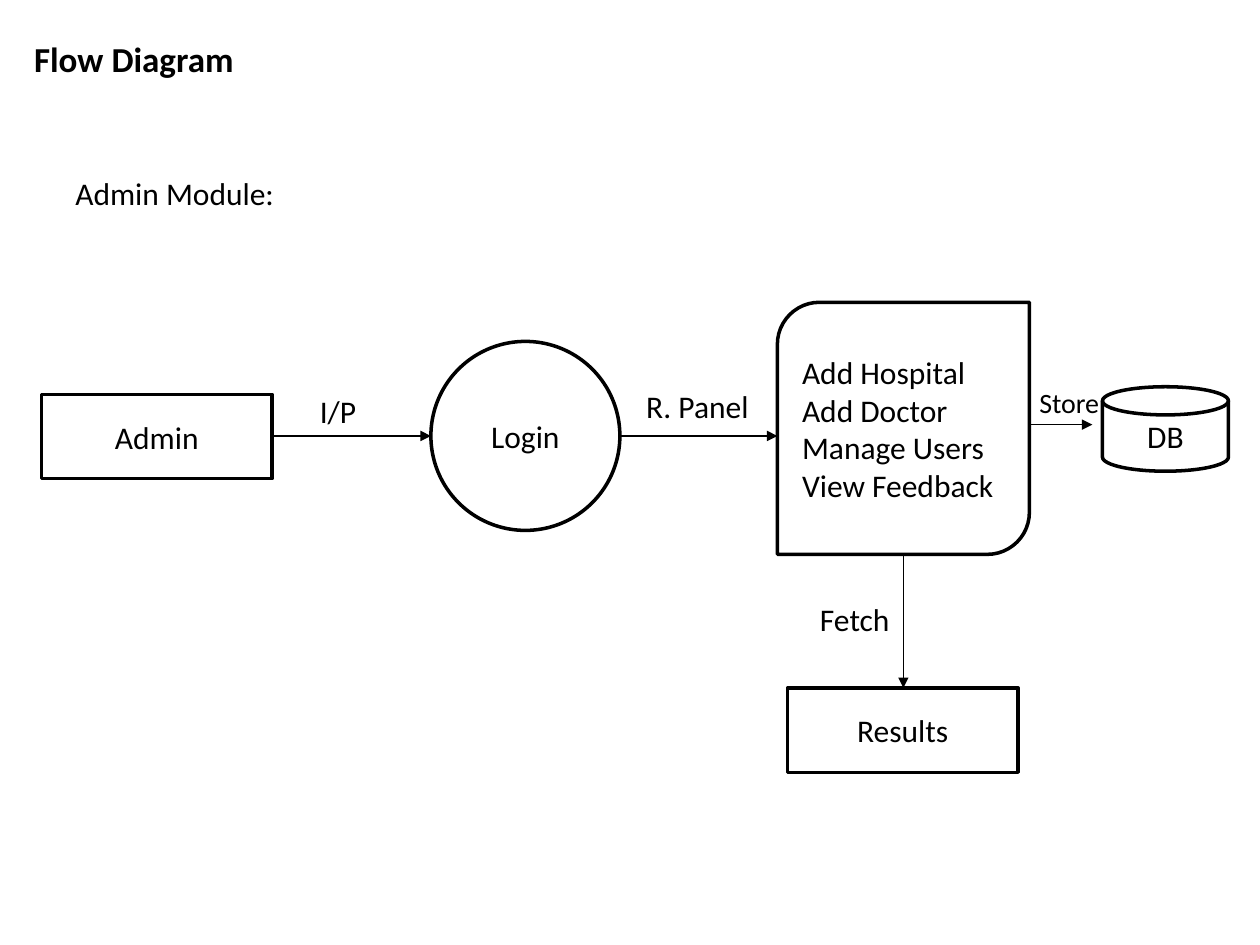
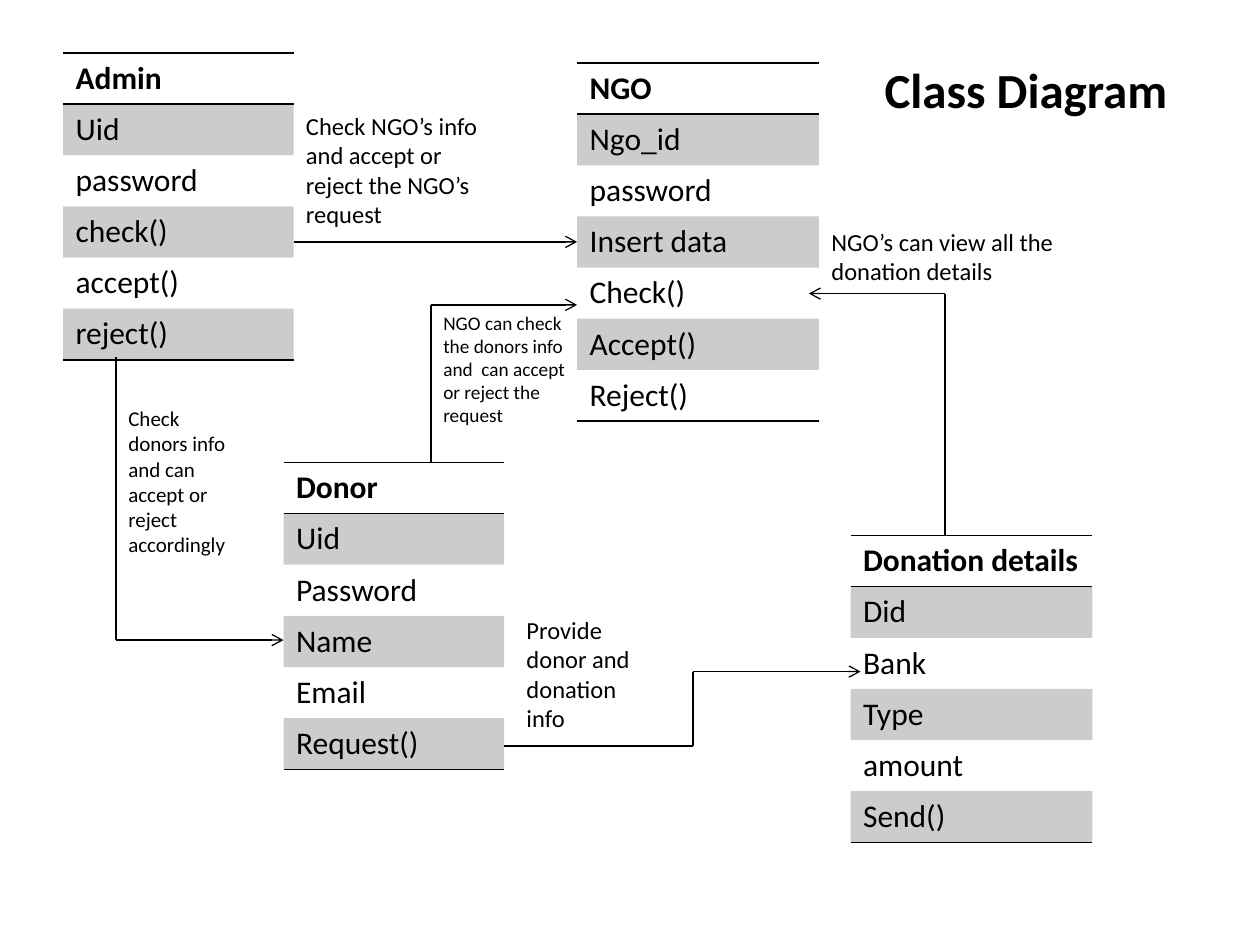
from dataclasses import dataclass
from itertools import pairwise

from lxml.etree import SubElement
from pptx import Presentation
from pptx.dml.color import RGBColor
from pptx.enum.shapes import MSO_CONNECTOR, MSO_SHAPE
from pptx.enum.text import MSO_ANCHOR, MSO_AUTO_SIZE, PP_ALIGN
from pptx.oxml.ns import qn
from pptx.util import Inches, Pt


@dataclass(frozen=True)
class Theme:
    font: str = "Calibri"
    ink: RGBColor = RGBColor(0, 0, 0)
    paper: RGBColor = RGBColor(255, 255, 255)
    body: int = 18
    outline: float = 2
    rule: float = 1
    arrow: float = 0.75
    band_alpha: int = 20000
    row_height: float = 0.406
    plain_table: str = "{2D5ABB26-0587-4C30-8999-92F81FD0307C}"


THEME = Theme()

FLOW_TITLE = ("Flow Diagram", (0.17, 0.25, 3.5, 0.44), 20)
FLOW_STEPS = [
    (MSO_SHAPE.RECTANGLE, (0.33, 3.13, 1.83, 0.67), ["Admin"]),
    (MSO_SHAPE.OVAL, (3.42, 2.71, 1.5, 1.5), ["Login"]),
    (MSO_SHAPE.ROUND_2_DIAG_RECTANGLE, (6.17, 2.4, 2, 2),
     ["Add Hospital", "Add Doctor", "Manage Users", "View Feedback"]),
    (MSO_SHAPE.RECTANGLE, (6.25, 5.46, 1.83, 0.67), ["Results"]),
    (MSO_SHAPE.FLOWCHART_MAGNETIC_DISK, (8.75, 3.07, 1, 0.67), ["DB"]),
]
FLOW_ARROWS = [
    [(2.17, 3.46), (3.42, 3.46)],
    [(4.92, 3.46), (6.17, 3.46)],
    [(7.17, 4.4), (7.17, 5.46)],
    [(8.17, 3.37), (8.67, 3.37)],
]
FLOW_LABELS = [
    ("Admin Module:", (0.5, 1.33, 1.8, 0.4), 18),
    ("Store", (8.15, 3.01, 0.69, 0.37), 16),
    ("I/P", (2.44, 3.06, 0.49, 0.4), 18),
    ("R. Panel", (5.03, 3.02, 1.02, 0.4), 18),
    ("Fetch", (6.41, 4.71, 0.76, 0.4), 18),
]

CLASS_TITLE = ("Class Diagram", (6.92, 0.42, 2.58, 0.57), 28)
CLASSES = [
    ((0.5, 0.42, 1.83), ["Admin", "Uid", "password", "check()", "accept()", "reject()"]),
    ((4.58, 0.5, 1.92),
     ["NGO", "Ngo_id", "password", "Insert data", "Check()", "Accept()", "Reject()"]),
    ((2.25, 3.67, 1.75), ["Donor", "Uid", "Password", "Name", "Email", "Request()"]),
    ((6.75, 4.25, 1.92),
     ["Donation details", "Did", "Bank", "Type", "amount", "Send()"]),
]
CLASS_ARROWS = [
    [(2.33, 1.92), (4.58, 1.92)],
    [(0.92, 2.83), (0.92, 5.08), (2.25, 5.08)],
    [(4, 5.92), (5.5, 5.92), (5.5, 5.33), (6.83, 5.33)],
    [(7.5, 4.25), (7.5, 2.33), (6.42, 2.33)],
    [(3.42, 3.67), (3.42, 2.42), (4.58, 2.42)],
]
CLASS_NOTES = [
    ("Check donors info and can accept or reject accordingly", (0.92, 3.17, 1.08, 1.31), 12),
    ("Provide donor and donation info", (4.08, 4.83, 1.25, 1.04), 14),
    ("Check NGO’s info and accept or reject the NGO’s request", (2.33, 0.83, 1.75, 1.04), 14),
    ("NGO can check the donors info and  can accept or reject the request",
     (3.42, 2.42, 1.17, 1.03), 11),
    ("NGO’s can view all the donation details", (6.5, 1.75, 2.08, 0.57), 14),
]


def inches(values):
    return [Inches(value) for value in values]


def style_text(frame, size, bold=False, align=PP_ALIGN.LEFT):
    for para in frame.paragraphs:
        para.alignment = align
        para.font.name = THEME.font
        para.font.size = Pt(size)
        para.font.bold = bold
        para.font.color.rgb = THEME.ink


def add_page(deck, title):
    text, place, size = title
    page = deck.slides.add_slide(deck.slide_layouts[5])
    box = page.shapes.title
    box.left, box.top, box.width, box.height = inches(place)
    frame = box.text_frame
    frame.text = text
    frame.auto_size = MSO_AUTO_SIZE.NONE
    frame.vertical_anchor = MSO_ANCHOR.TOP
    style_text(frame, size, bold=True)
    return page


def add_label(page, text, place, size, wrap):
    frame = page.shapes.add_textbox(*inches(place)).text_frame
    frame.word_wrap = wrap
    frame.text = text
    style_text(frame, size)


def add_step(page, kind, place, lines):
    shape = page.shapes.add_shape(kind, *inches(place))
    shape.shadow.inherit = False
    shape.fill.solid()
    shape.fill.fore_color.rgb = THEME.paper
    shape.line.color.rgb = THEME.ink
    shape.line.width = Pt(THEME.outline)
    frame = shape.text_frame
    frame.text = "\n".join(lines)
    frame.vertical_anchor = MSO_ANCHOR.MIDDLE
    style_text(frame, THEME.body, align=PP_ALIGN.LEFT if len(lines) > 1 else PP_ALIGN.CENTER)


def add_arrow(page, points, head):
    for start, end in pairwise(points):
        segment = page.shapes.add_connector(
            MSO_CONNECTOR.STRAIGHT, *inches(start + end))
        segment.line.color.rgb = THEME.ink
        segment.line.width = Pt(THEME.arrow)
        properties = segment._element.spPr
        SubElement(properties, qn("a:effectLst"))
    SubElement(properties.find(qn("a:ln")), qn("a:tailEnd"), type=head)


def add_rule(cell, side):
    line = SubElement(cell._tc.get_or_add_tcPr(), qn(f"a:{side}"), w=str(Pt(THEME.rule)))
    fill = SubElement(line, qn("a:solidFill"))
    SubElement(fill, qn("a:srgbClr"), val=str(THEME.ink))


def fill_band(cell):
    cell.fill.solid()
    cell.fill.fore_color.rgb = THEME.ink
    color = cell._tc.tcPr.find(f".//{qn('a:solidFill')}[last()]/..")
    color = cell._tc.tcPr.findall(qn("a:solidFill"))[-1][0]
    SubElement(color, qn("a:alpha"), val=str(THEME.band_alpha))


def add_class(page, place, members):
    left, top, width = place
    height = THEME.row_height * len(members)
    table = page.shapes.add_table(
        len(members), 1, *inches((left, top, width, height))).table
    table.first_row = table.horz_banding = False
    table._tbl.tblPr.find(qn("a:tableStyleId")).text = THEME.plain_table
    for index, member in enumerate(members):
        table.rows[index].height = Inches(THEME.row_height)
        cell = table.cell(index, 0)
        cell.text = member
        style_text(cell.text_frame, THEME.body, bold=index == 0)
        if index == 0:
            add_rule(cell, "lnT")
        if index in (0, len(members) - 1):
            add_rule(cell, "lnB")
        if index % 2:
            fill_band(cell)
        else:
            cell.fill.background()


def build_flow(deck):
    page = add_page(deck, FLOW_TITLE)
    for step in FLOW_STEPS:
        add_step(page, *step)
    for points in FLOW_ARROWS:
        add_arrow(page, points, "triangle")
    for label in FLOW_LABELS:
        add_label(page, *label, wrap=False)


def build_classes(deck):
    page = add_page(deck, CLASS_TITLE)
    for place, members in CLASSES:
        add_class(page, place, members)
    for points in CLASS_ARROWS:
        add_arrow(page, points, "arrow")
    for note in CLASS_NOTES:
        add_label(page, *note, wrap=True)


def main():
    deck = Presentation()
    deck.slide_width, deck.slide_height = Inches(10), Inches(7.5)
    build_flow(deck)
    build_classes(deck)
    deck.save("out.pptx")


if __name__ == "__main__":
    main()
